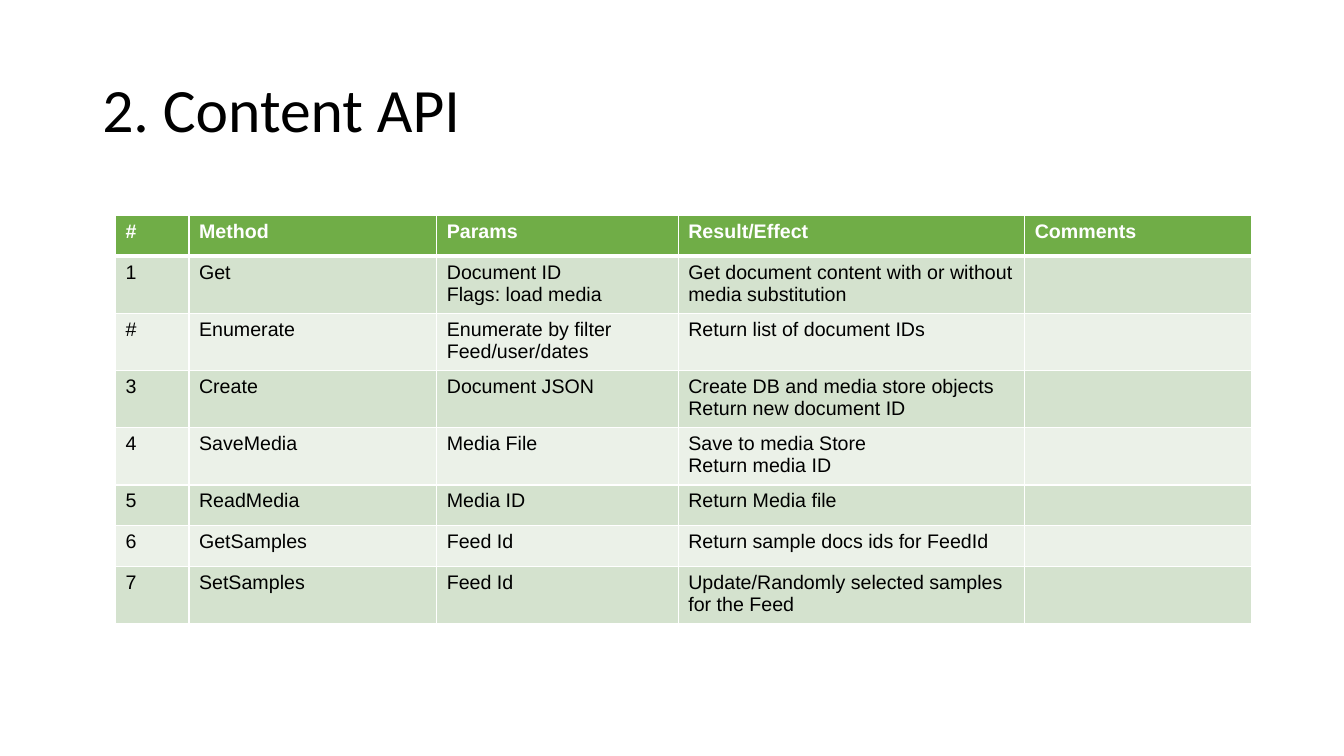
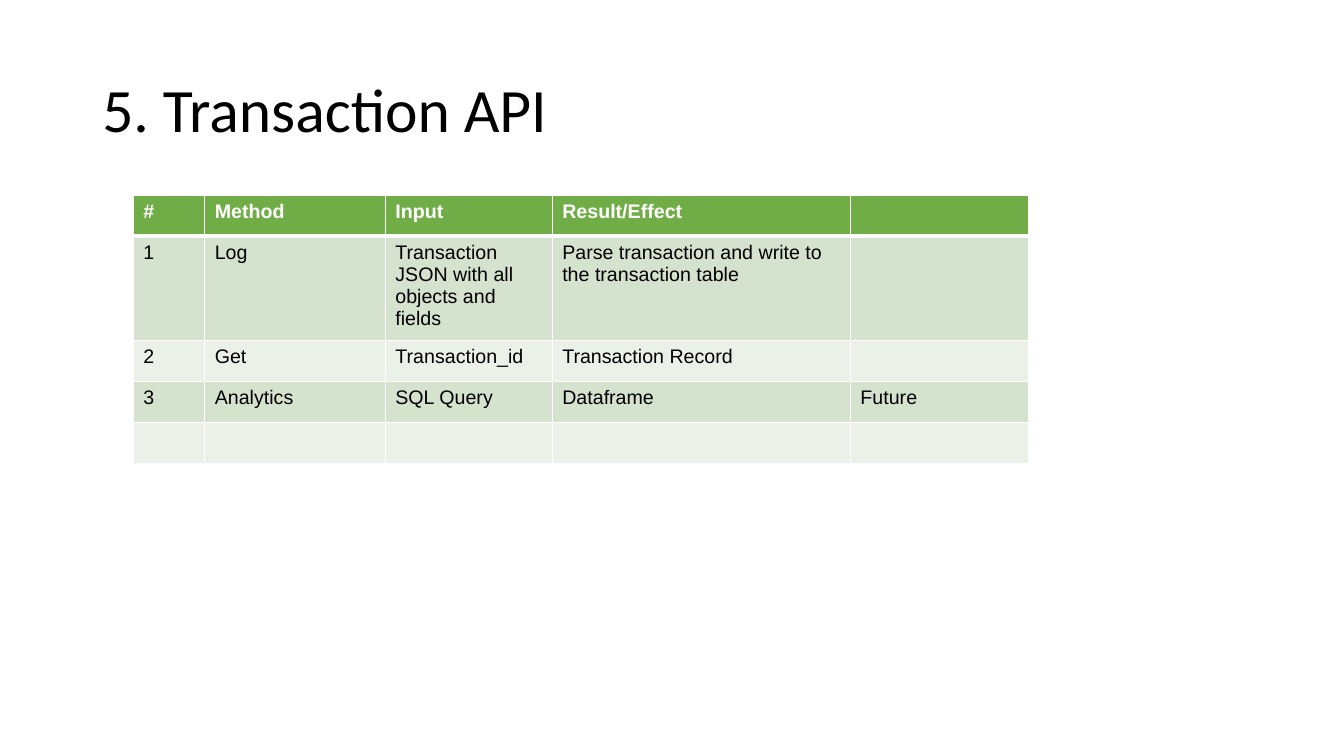
from dataclasses import dataclass

from lxml import etree
from pptx import Presentation
from pptx import util as u
from pptx.dml import color
from pptx.enum import text
from pptx.oxml import ns

PX = 9525
SLIDE_W, SLIDE_H = 1280, 720
TITLE_BOX = (88, 38, 1104, 139)
ROW_H = 39

TITLE_FONT, TABLE_FONT = "Calibri", "Arial"
BLACK, WHITE = "000000", "FFFFFF"
HEADER_FILL = "70AD47"
BAND_FILLS = ("D4E2CE", "EBF1E8")


@dataclass
class ApiSlide:
    title: str
    left: int
    top: int
    cols: tuple[int, ...]
    rows: tuple[tuple[str, ...], ...]


SLIDES = (
    ApiSlide(
        "2. Content API", 110, 205, (70, 236, 230, 330, 216),
        (
            ("#", "Method", "Params", "Result/Effect", "Comments"),
            ("1", "Get", "Document ID\nFlags: load media",
             "Get document content with or without media substitution", ""),
            ("#", "Enumerate", "Enumerate by filter\nFeed/user/dates",
             "Return list of document IDs", ""),
            ("3", "Create", "Document JSON",
             "Create DB and media store objects\nReturn new document ID", ""),
            ("4", "SaveMedia", "Media File",
             "Save to media Store\nReturn media ID", ""),
            ("5", "ReadMedia", "Media ID", "Return Media file", ""),
            ("6", "GetSamples", "Feed Id",
             "Return sample docs ids for FeedId", ""),
            ("7", "SetSamples", "Feed Id",
             "Update/Randomly selected samples for the Feed", ""),
        ),
    ),
    ApiSlide(
        "5. Transaction API", 127, 186, (68, 172, 159, 284, 170),
        (
            ("#", "Method", "Input", "Result/Effect", ""),
            ("1", "Log", "Transaction JSON with all objects and fields",
             "Parse transaction and write to the transaction table", ""),
            ("2", "Get", "Transaction_id", "Transaction Record", ""),
            ("3", "Analytics", "SQL Query", "Dataframe", "Future"),
            ("", "", "", "", ""),
        ),
    ),
)


def px(n: int) -> u.Emu:
    return u.Emu(n * PX)


def rgb(value: str) -> color.RGBColor:
    return color.RGBColor.from_string(value)


def add_run(p, content: str, font: str, size: int, ink: str,
            bold: bool = False) -> None:
    r = p.add_run()
    r.text = content
    r.font.name = font
    r.font.size = u.Pt(size)
    r.font.bold = bold
    r.font.color.rgb = rgb(ink)


def add_title(s, title: str) -> None:
    sp = s.shapes.add_textbox(*map(px, TITLE_BOX))
    tf = sp.text_frame
    tf.word_wrap = True
    tf.vertical_anchor = text.MSO_ANCHOR.MIDDLE
    p = tf.paragraphs[0]
    p.line_spacing = 0.9
    add_run(p, title, TITLE_FONT, 44, BLACK)


def set_borders(cell, top: int, bottom: int) -> None:
    tc_pr = cell._tc.get_or_add_tcPr()
    for side, width in (("L", 1), ("R", 1), ("T", top), ("B", bottom)):
        ln = etree.SubElement(tc_pr, ns.qn(f"a:ln{side}"), w=str(u.Pt(width)))
        fill = etree.SubElement(ln, ns.qn("a:solidFill"))
        etree.SubElement(fill, ns.qn("a:srgbClr"), val=WHITE)


def fill_cell(cell, content: str, row: int) -> None:
    header = row == 0
    set_borders(cell, 3 if row == 1 else 1, 3 if header else 1)
    cell.fill.solid()
    cell.fill.fore_color.rgb = rgb(
        HEADER_FILL if header else BAND_FILLS[(row - 1) % 2])
    if not content:
        return
    tf = cell.text_frame
    for i, line in enumerate(content.split("\n")):
        p = tf.add_paragraph() if i else tf.paragraphs[0]
        add_run(p, line, TABLE_FONT, 14, WHITE if header else BLACK, header)


def add_api_table(s, api: ApiSlide) -> None:
    table = s.shapes.add_table(
        len(api.rows), len(api.cols), px(api.left), px(api.top),
        px(sum(api.cols)), px(ROW_H * len(api.rows))).table
    table.first_row = table.horz_banding = False
    for column, width in zip(table.columns, api.cols):
        column.width = px(width)
    for i, row in enumerate(api.rows):
        table.rows[i].height = px(ROW_H)
        for j, content in enumerate(row):
            fill_cell(table.cell(i, j), content, i)


def main() -> None:
    prs = Presentation()
    prs.slide_width, prs.slide_height = px(SLIDE_W), px(SLIDE_H)
    for api in SLIDES:
        s = prs.slides.add_slide(prs.slide_layouts[6])
        add_title(s, api.title)
        add_api_table(s, api)
    prs.save("out.pptx")


if __name__ == "__main__":
    main()
